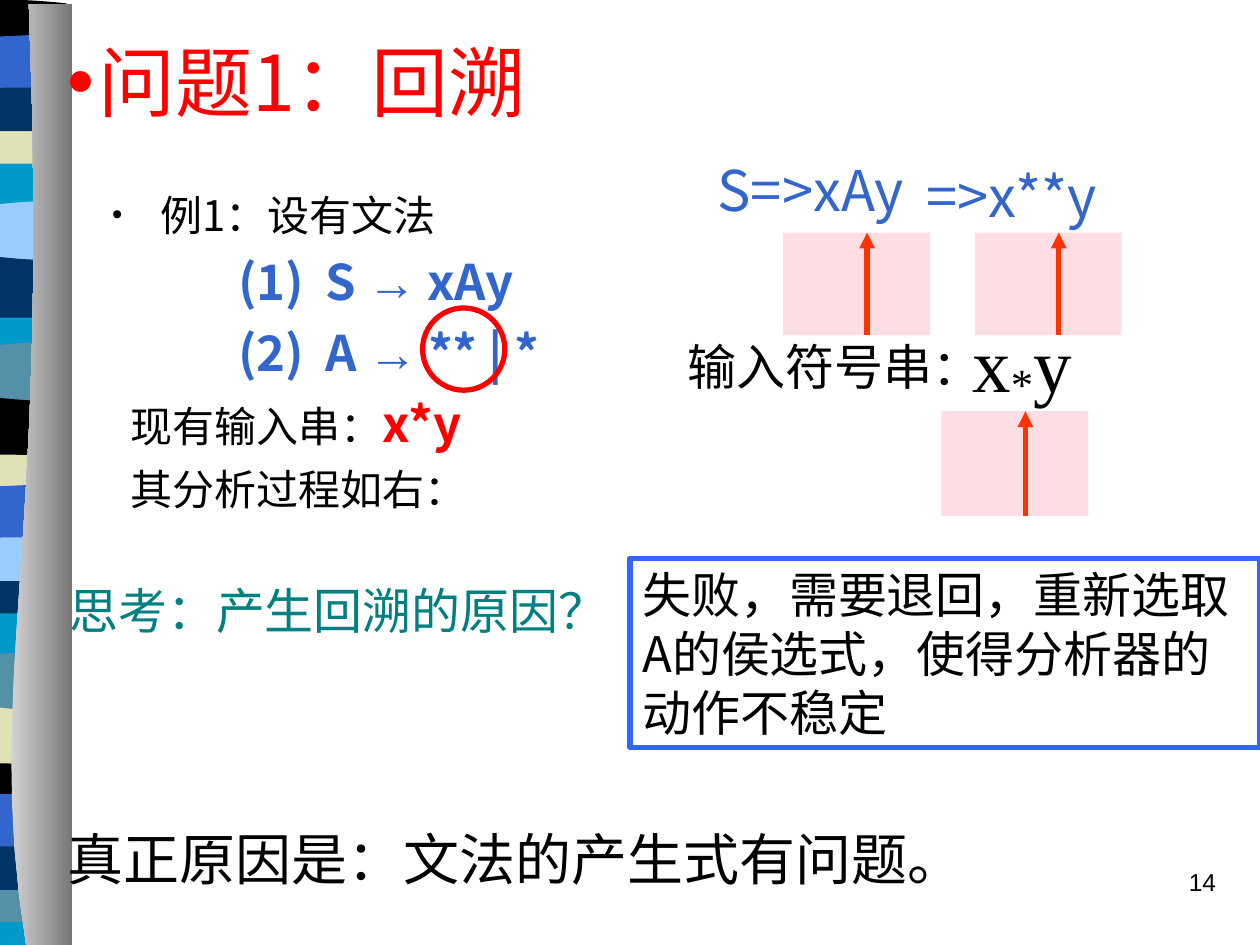
from dataclasses import dataclass

from lxml import etree
from pptx import Presentation
from pptx.dml.color import RGBColor
from pptx.enum import shapes as kinds, text as txt
from pptx.oxml import ns
from pptx.util import Pt


@dataclass(frozen=True)
class Theme:
    black: str = "000000"
    white: str = "FFFFFF"
    red: str = "FF0000"
    blue: str = "3366CC"
    frame: str = "3366FF"
    teal: str = "008080"
    pink: str = "FFDDE4"
    arrow: str = "FF3300"
    navy: str = "003366"
    sky: str = "99CCFF"
    cyan: str = "0099CC"
    steel: str = "5490A8"
    cream: str = "E1E1B7"
    spine: tuple = ("D2D2D2", "767676")
    font: str = "Noto Sans CJK SC"
    symbols: str = "Arial"
    serif: str = "Times New Roman"
    title: int = 44
    large: int = 32
    medium: int = 28
    body: int = 24
    number: int = 14
    stroke: int = 3


T = Theme()


def rgb(colour):
    return RGBColor.from_string(colour)


def points(*lengths):
    return [Pt(length) for length in lengths]


def add_bullet(paragraph, colour, percent):
    props = paragraph._p.get_or_add_pPr()
    tint = etree.SubElement(props, ns.qn("a:buClr"))
    etree.SubElement(tint, ns.qn("a:srgbClr")).set("val", colour)
    etree.SubElement(props, ns.qn("a:buSzPct")).set("val", str(percent * 1000))
    etree.SubElement(props, ns.qn("a:buFont")).set("typeface", T.symbols)
    etree.SubElement(props, ns.qn("a:buChar")).set("char", "•")


def set_indent(paragraph, left, first=0):
    props = paragraph._p.get_or_add_pPr()
    props.set("marL", str(Pt(left)))
    props.set("indent", str(Pt(first)))


def add_run(paragraph, words, size, colour, font=T.font, bold=False):
    run = paragraph.add_run()
    run.text = words
    run.font.size, run.font.bold, run.font.name = Pt(size), bold, font
    run.font.color.rgb = rgb(colour)
    east_asian = etree.SubElement(run._r.get_or_add_rPr(), ns.qn("a:ea"))
    east_asian.set("typeface", font)
    return run


def add_text_area(slide, box):
    frame = slide.shapes.add_textbox(*points(*box)).text_frame
    frame.word_wrap = True
    return frame


def add_line_of_text(slide, box, words, size, colour):
    add_run(add_text_area(slide, box).paragraphs[0], words, size, colour)


def curve(start, bend_1, bend_2, end, steps=16):
    """Points along a cubic curve."""
    for i in range(steps + 1):
        t = i / steps
        weights = ((1 - t) ** 3, 3 * t * (1 - t) ** 2, 3 * t * t * (1 - t), t ** 3)
        yield tuple(sum(w * p[axis] for w, p in zip(weights, (start, bend_1, bend_2, end)))
                    for axis in (0, 1))


def add_outline(slide, corners):
    first, *rest = [points(*corner) for corner in corners]
    builder = slide.shapes.build_freeform(*first, scale=1.0)
    builder.add_line_segments(rest, close=True)
    outline = builder.convert_to_shape()
    outline.shadow.inherit = False
    outline.line.fill.background()
    return outline


def add_ribbon(slide, left, top, right, bottom):
    """Wavy colour bands behind a shaded, curved spine."""
    # height of the band, then the two bends of its top edge
    wave, swell, slim, block, dip, rise = (
        (34, 6, -4), (34, -6, 4), (20, -2, -2), (24, -3, -3), (34, 4, 1), (24, 0, -2))
    bands = (
        (wave, 373, T.steel), (swell, 405, T.cream), (slim, 507, T.steel),
        (block, 438.5, T.black), (dip, 452, T.blue), (rise, 484.5, T.navy),
        (wave, 196.5, T.steel), (swell, 228, T.black), (slim, 330.5, T.navy),
        (block, 262, T.cream), (dip, 276, T.blue), (rise, 308, T.sky),
        (wave, 116, T.sky), (swell, 147.5, T.navy), (slim, 73.5, T.cream),
        (block, 2, T.black), (dip, 19, T.blue), (rise, 51, T.navy))
    base = add_outline(slide, [(left, top), (right, top), (right, bottom), (left, bottom)])
    base.fill.solid()
    base.fill.fore_color.rgb = rgb(T.cyan)
    third = (right - left) / 3
    for (height, bend_1, bend_2), y, colour in bands:
        edge = curve((left, y), (left + third, y + bend_1),
                     (right - third, y + bend_2), (right, y))
        band = add_outline(slide, [*edge, (right, y + height), (left, y + height)])
        band.fill.solid()
        band.fill.fore_color.rgb = rgb(colour)

    edge = curve((15, bottom), (-10, 384.5), (29.5, 327.5), (16.5, 2))
    spine = add_outline(slide, [*edge, (41, 2), (41.5, bottom)])
    spine.fill.gradient()
    spine.fill.gradient_angle = 0
    for stop, colour in zip(spine.fill.gradient_stops, T.spine):
        stop.color.rgb = rgb(colour)


def add_title(slide, box):
    frame = add_text_area(slide, box)
    frame.vertical_anchor = txt.MSO_ANCHOR.MIDDLE
    paragraph = frame.paragraphs[0]
    set_indent(paragraph, 17.5, -17.5)
    add_bullet(paragraph, T.red, 100)
    add_run(paragraph, "问题1：回溯", T.title, T.red)


def add_grammar(slide, box):
    """Example grammar with its productions and input string."""
    frame = add_text_area(slide, box)
    example = frame.paragraphs[0]
    set_indent(example, 27.5, -27.5)
    add_bullet(example, T.black, 70)
    add_run(example, "例1：设有文法", T.body, T.black)
    for left_side, right_side in (("(1)\tS ", " xAy"), ("(2)\tA ", " ** | *")):
        rule = frame.add_paragraph()
        set_indent(rule, 122, -50)
        for words, font in ((left_side, T.font), ("→", T.symbols), (right_side, T.font)):
            add_run(rule, words, T.medium, T.blue, font, bold=True)
    given = frame.add_paragraph()
    add_run(given, "现有输入串：", T.body, T.black)
    add_run(given, "x*y", T.medium, T.red, bold=True)
    process = frame.add_paragraph()
    add_run(process, "其分析过程如右：", T.body, T.black)
    for paragraph in (given, process):
        set_indent(paragraph, 10.5)
    for paragraph in frame.paragraphs[1:]:
        paragraph.space_before = Pt(7)
    process.space_before = Pt(6)


def add_preset(slide, kind, box):
    preset = slide.shapes.add_shape(kind, *points(*box))
    preset.shadow.inherit = False
    return preset


def add_pointer(slide, left, top, width=84, height=58.5):
    """Pink panel with an arrow pointing at the symbol being read."""
    panel = add_preset(slide, kinds.MSO_SHAPE.RECTANGLE, (left, top, width, height))
    panel.fill.solid()
    panel.fill.fore_color.rgb = rgb(T.pink)
    panel.line.fill.background()
    x = left + 48
    arrow = slide.shapes.add_connector(
        kinds.MSO_CONNECTOR.STRAIGHT, *points(x, top + height, x, top))
    arrow.line.color.rgb = rgb(T.arrow)
    arrow.line.width = Pt(T.stroke)
    etree.SubElement(arrow.line._get_or_add_ln(), ns.qn("a:tailEnd")).set("type", "triangle")
    etree.SubElement(arrow._element.spPr, ns.qn("a:effectLst"))


def add_derivation(slide, left, top):
    """Derivation steps above the input string, with their pointers."""
    add_line_of_text(slide, (left + 17, top, 122, 46), "S=>xAy", T.large, T.blue)
    add_line_of_text(slide, (left + 136.5, top + 3, 122, 46), "=>x**y", T.large, T.blue)
    add_line_of_text(slide, (left, top + 103, 186, 41), "输入符号串：", T.medium, T.black)
    symbols = add_text_area(slide, (left + 151.5, top + 91.5, 165, 61)).paragraphs[0]
    set_indent(symbols, 11)
    for symbol in "x*y":
        run = add_run(symbols, symbol, T.title, T.black, T.serif)
        if symbol == "*":
            run._r.get_or_add_rPr().set("baseline", "-10000")
    for x, y, height in ((61.5, 47.5, 58.5), (171, 47.5, 58.5), (152, 149.5, 60)):
        add_pointer(slide, left + x, top + y, height=height)


def add_failure_note(slide, box):
    note = add_preset(slide, kinds.MSO_SHAPE.RECTANGLE, box)
    note.fill.solid()
    note.fill.fore_color.rgb = rgb(T.white)
    note.line.color.rgb = rgb(T.frame)
    note.line.width = Pt(T.stroke)
    note.text_frame.word_wrap = True
    note.text_frame.vertical_anchor = txt.MSO_ANCHOR.TOP
    paragraph = note.text_frame.paragraphs[0]
    paragraph.alignment = txt.PP_ALIGN.LEFT
    add_run(paragraph, "失败，需要退回，重新选取A的侯选式，使得分析器的动作不稳定",
            T.medium, T.black)


def add_choice_ring(slide, box):
    ring = add_preset(slide, kinds.MSO_SHAPE.OVAL, box)
    ring.fill.background()
    ring.line.color.rgb = rgb(T.red)
    ring.line.width = Pt(T.stroke)


def add_page_number(slide, box):
    number = add_text_area(slide, box).paragraphs[0]
    number.alignment = txt.PP_ALIGN.RIGHT
    add_run(number, "14", T.number, T.black, T.symbols)


def main():
    deck = Presentation()
    deck.slide_width, deck.slide_height = points(720, 540)
    slide = deck.slides.add_slide(deck.slide_layouts[6])
    add_ribbon(slide, -41, 3.5, 38, 540)
    add_grammar(slide, (57, 104.5, 287, 193))
    add_failure_note(slide, (360, 319, 360, 108))
    add_line_of_text(slide, (32.5, 328, 390, 41), "思考：产生回溯的原因？", T.medium, T.teal)
    add_title(slide, (31.5, 26, 612, 40))
    add_line_of_text(slide, (31.5, 467.5, 540, 46), "真正原因是：文法的产生式有问题。",
                     T.large, T.black)
    add_derivation(slide, 386, 85.5)
    add_choice_ring(slide, (241.5, 176, 47, 47))
    add_page_number(slide, (552, 492, 150, 36))
    deck.save("out.pptx")


if __name__ == "__main__":
    main()
